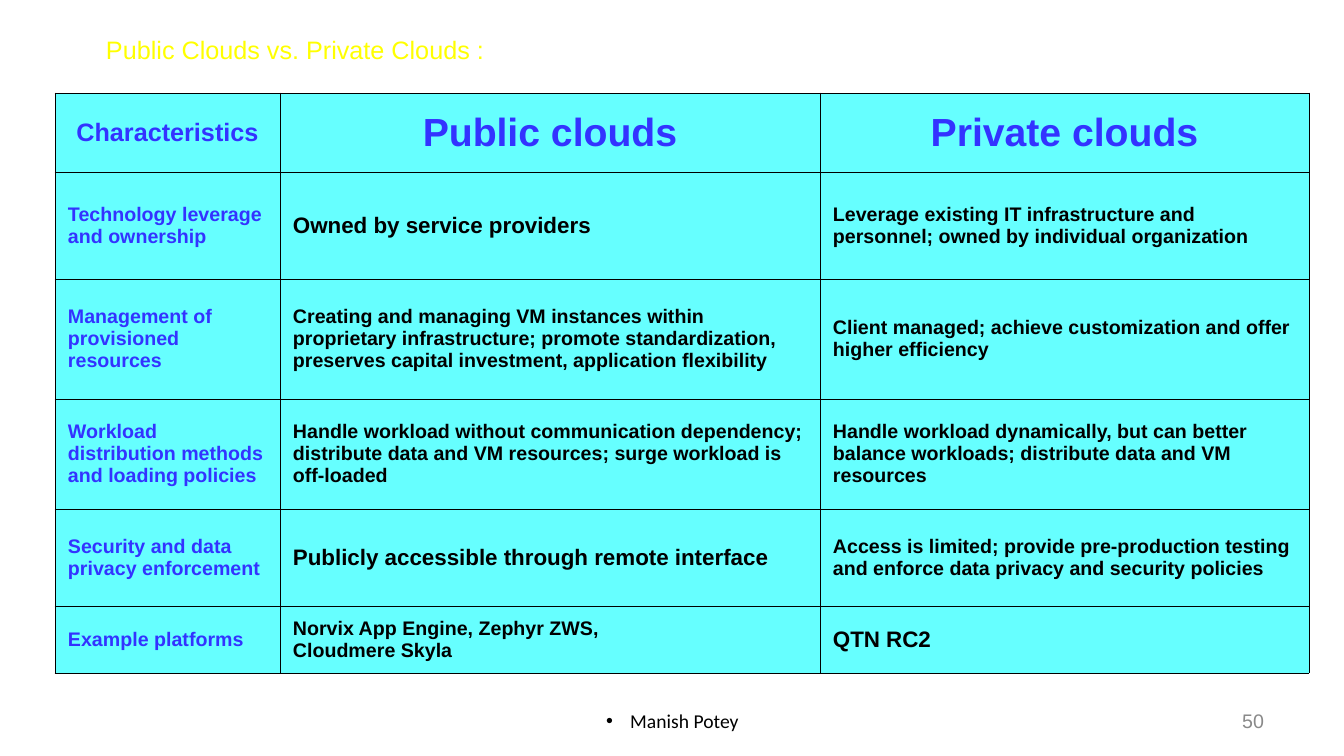
from lxml import etree
from pptx import Presentation
from pptx.dml.color import RGBColor
from pptx.enum.text import MSO_ANCHOR, MSO_AUTO_SIZE, PP_ALIGN
from pptx.oxml.ns import qn
from pptx.util import Pt

LEFT, CENTER, RIGHT = PP_ALIGN.LEFT, PP_ALIGN.CENTER, PP_ALIGN.RIGHT
TOP, MIDDLE = MSO_ANCHOR.TOP, MSO_ANCHOR.MIDDLE
FIXED_SIZE = MSO_AUTO_SIZE.NONE
TITLE_ONLY = 5
EMU_PER_PX = 914400 / 100.8

COLORS = {
    "title": "FFFF00",
    "label": "3333FF",
    "body": "000000",
    "cell": "66FFFF",
    "border": "000000",
    "page_number": "898989",
}

COLUMN_WIDTHS = [225, 540, 489]
ROW_HEIGHTS = [79, 107, 120, 110, 97, 67]

# Each cell is its text and its size in points.
ROWS = [
    [("Characteristics", 18), ("Public clouds", 28), ("Private clouds", 28)],
    [("Technology leverage and ownership", 14),
     ("Owned by service providers", 16),
     ("Leverage existing IT infrastructure and personnel; owned by "
      "individual organization", 14)],
    [("Management of provisioned resources", 14),
     ("Creating and managing VM instances within proprietary infrastructure; "
      "promote standardization, preserves capital investment, application "
      "flexibility", 14),
     ("Client managed; achieve customization and offer higher efficiency", 14)],
    [("Workload distribution methods and loading policies", 14),
     ("Handle workload without communication dependency; distribute data and "
      "VM resources; surge workload is off-loaded", 14),
     ("Handle workload dynamically, but can better balance workloads; "
      "distribute data and VM resources", 14)],
    [("Security and data privacy enforcement", 14),
     ("Publicly accessible through remote interface", 16),
     ("Access is limited; provide pre-production testing and enforce data "
      "privacy and security policies", 14)],
    [("Example platforms", 14),
     ("Norvix App Engine, Zephyr ZWS,\nCloudmere Skyla", 14),
     ("QTN RC2", 16)],
]


def px(length):
    return round(length * EMU_PER_PX)


def rgb(name):
    return RGBColor.from_string(COLORS[name])


def write_text(frame, text, size, color, font="Arial", bold=False, align=LEFT):
    para = frame.paragraphs[0]
    para.text = text
    para.alignment = align
    for span in para.runs:
        span.font.name = font
        span.font.size = Pt(size)
        span.font.bold = bold
        span.font.color.rgb = rgb(color)
    return para


def set_frame(frame, anchor):
    frame.word_wrap = True
    frame.auto_size = FIXED_SIZE
    frame.vertical_anchor = anchor
    frame.margin_left = frame.margin_right = px(12)
    frame.margin_top = frame.margin_bottom = px(6)


def add_title(page, text):
    title = page.shapes.title
    title.left, title.top = px(94), px(22)
    title.width, title.height = px(1065), px(48)
    set_frame(title.text_frame, TOP)
    para = write_text(title.text_frame, text, 18, "title")
    para.line_spacing = 1.2


def add_footer(page, left, width, text, **text_format):
    box = page.shapes.add_textbox(px(left), px(701), px(width), px(40))
    set_frame(box.text_frame, MIDDLE)
    return write_text(box.text_frame, text, 14, **text_format)


def add_bullet(para, indent):
    properties = para._p.get_or_add_pPr()
    properties.set("marL", str(px(indent)))
    properties.set("indent", str(-px(indent)))
    font = etree.SubElement(properties, qn("a:buFont"))
    font.set("typeface", "Arial")
    bullet = etree.SubElement(properties, qn("a:buChar"))
    bullet.set("char", "•")


def add_borders(cell):
    properties = cell._tc.get_or_add_tcPr()
    for side in ("a:lnL", "a:lnR", "a:lnT", "a:lnB"):
        line = etree.SubElement(properties, qn(side))
        line.set("w", str(Pt(0.45)))
        fill = etree.SubElement(line, qn("a:solidFill"))
        etree.SubElement(fill, qn("a:srgbClr")).set("val", COLORS["border"])


def fill_cell(cell, text, size, color, align):
    add_borders(cell)
    cell.fill.solid()
    cell.fill.fore_color.rgb = rgb("cell")
    cell.vertical_anchor = MIDDLE
    cell.margin_left = cell.margin_right = px(13)
    cell.margin_top = cell.margin_bottom = px(5)
    write_text(cell.text_frame, text, size, color, bold=True, align=align)


def add_comparison_table(page):
    table = page.shapes.add_table(
        len(ROWS), len(COLUMN_WIDTHS), px(55), px(93),
        px(sum(COLUMN_WIDTHS)), px(sum(ROW_HEIGHTS))).table
    table.first_row = table.horz_banding = False
    for column, width in zip(table.columns, COLUMN_WIDTHS):
        column.width = px(width)
    for row, height in zip(table.rows, ROW_HEIGHTS):
        row.height = px(height)
    for row_index, row in enumerate(ROWS):
        for column_index, (text, size) in enumerate(row):
            is_label = row_index == 0 or column_index == 0
            fill_cell(table.cell(row_index, column_index), text, size,
                      color="label" if is_label else "body",
                      align=CENTER if row_index == 0 else LEFT)


def main():
    deck = Presentation()
    deck.slide_width, deck.slide_height = px(1344), px(756)
    page = deck.slides.add_slide(deck.slide_layouts[TITLE_ONLY])
    add_title(page, "Public Clouds vs. Private Clouds :")
    add_comparison_table(page)
    author = add_footer(page, 460, 425, "Manish Potey", color="body",
                        font="Calibri", align=CENTER)
    add_bullet(author, 24)
    add_footer(page, 963, 313, "50", color="page_number", align=RIGHT)
    deck.save("out.pptx")


if __name__ == "__main__":
    main()
